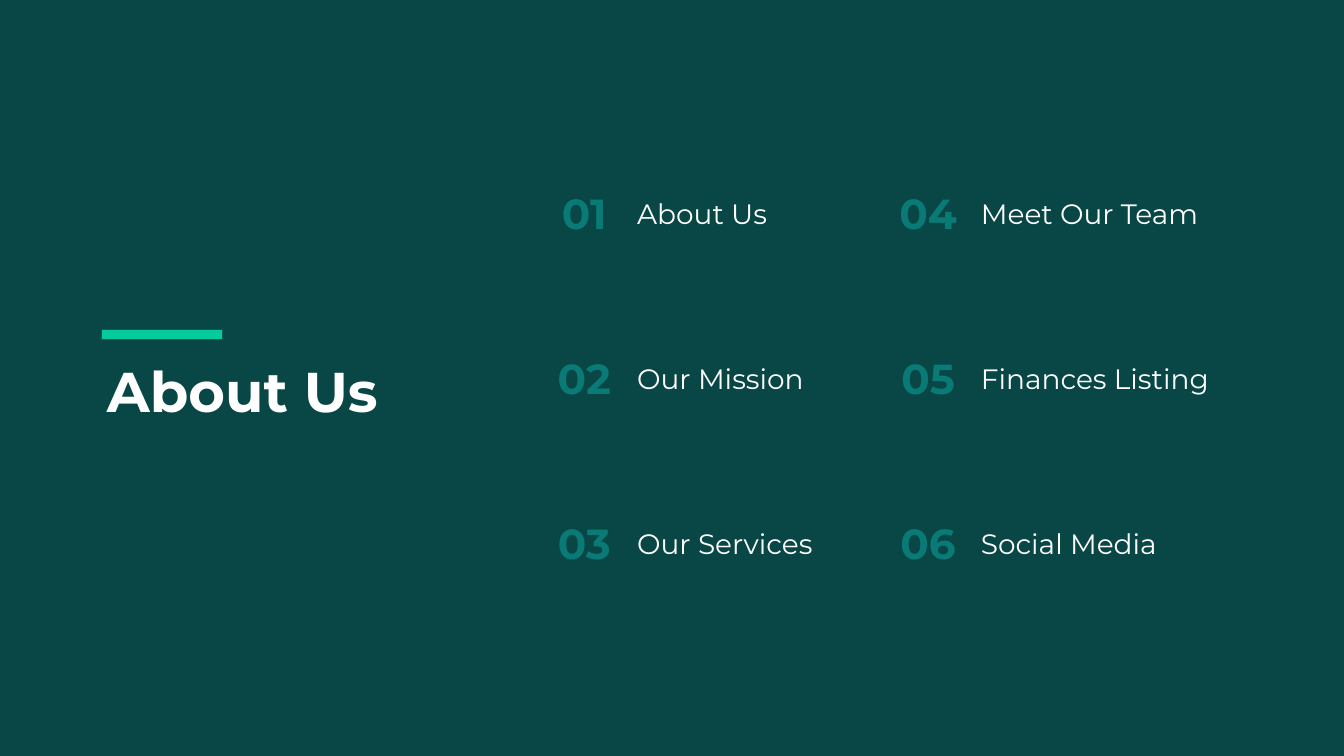
from pptx import Presentation
from pptx.dml.color import RGBColor
from pptx.enum.shapes import MSO_SHAPE
from pptx.enum.text import MSO_ANCHOR, MSO_AUTO_SIZE, PP_ALIGN
from pptx.util import Inches, Pt

RECT = MSO_SHAPE.RECTANGLE
TOP = MSO_ANCHOR.TOP
GROW = MSO_AUTO_SIZE.SHAPE_TO_FIT_TEXT
LEFT, CENTER = PP_ALIGN.LEFT, PP_ALIGN.CENTER

TITLE = "About Us"
TOPICS = [("About Us", 4.92), ("Our Mission", 4.92), ("Our Services", 4.92),
          ("Meet Our Team", 4.92), ("Finances Listing", 5.71), ("Social Media", 3.77)]
COLORS = {"background": "084745", "text": "FFFFFF", "number": "097A76",
          "bar": "03CB99", "bar_line": "075A57"}
FONT = "Montserrat"

SLIDE_W, SLIDE_H = 26.66, 15
ROWS = 3
NUMBER_X, NUMBER_Y = 10.83, 3.67
COLUMN_STEP, ROW_STEP = 6.82, 3.27
TOPIC_DX, TOPIC_DY = 1.71, 0.18


def color(name):
    return RGBColor.from_string(COLORS[name])


def box(*lengths):
    return [Inches(v) for v in lengths]


def write(sp, text, size, color_name, bold=False, align=LEFT):
    tf = sp.text_frame
    tf.text = text
    tf.word_wrap = True
    tf.auto_size = GROW
    tf.vertical_anchor = TOP
    p = tf.paragraphs[0]
    p.alignment = align
    p.font.name = FONT
    p.font.size = Pt(size)
    p.font.bold = bold
    p.font.color.rgb = color(color_name)


def add_text(x, y, w, h, *args, **style):
    write(s.shapes.add_textbox(*box(x, y, w, h)), *args, **style)


def add_rect(x, y, w, h, fill):
    sp = s.shapes.add_shape(RECT, *box(x, y, w, h))
    sp.shadow.inherit = False
    sp.fill.solid()
    sp.fill.fore_color.rgb = color(fill)
    sp.line.fill.background()
    return sp


prs = Presentation()
prs.slide_width, prs.slide_height = box(SLIDE_W, SLIDE_H)
s = prs.slides.add_slide(prs.slide_layouts[5])

title = s.shapes.title
title.left, title.top, title.width, title.height = box(2.02, 7.02, 6.17, 1.45)
write(title, TITLE, 80, "text", bold=True)

panel = add_rect(0, 0, SLIDE_W, SLIDE_H, "background")
title.element.addprevious(panel.element)

bar = add_rect(2.02, 6.53, 2.4, 0.2, "bar")
bar.line.color.rgb = color("bar_line")
bar.line.width = Pt(1)

for i, (topic, width) in enumerate(TOPICS):
    column, row = divmod(i, ROWS)
    x = NUMBER_X + column * COLUMN_STEP
    y = NUMBER_Y + row * ROW_STEP
    add_text(x, y, 1.52, 1.11, f"{i + 1:02}", 60, "number", bold=True, align=CENTER)
    add_text(x + TOPIC_DX, y + TOPIC_DY, width, 0.77, topic, 40, "text")

prs.save("out.pptx")
